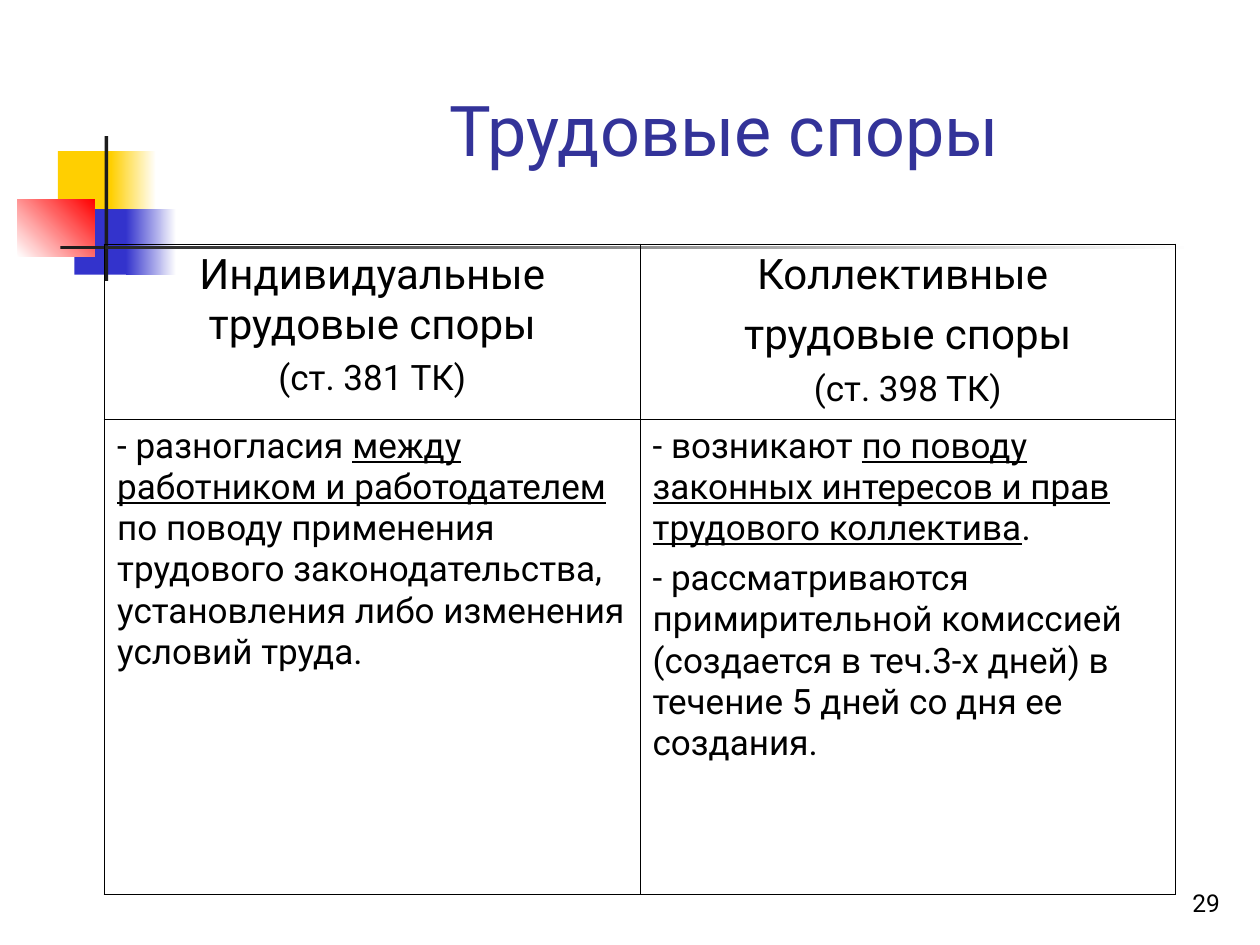
from pptx import Presentation
from pptx.dml.color import RGBColor
from pptx.enum.shapes import MSO_SHAPE
from pptx.enum.text import MSO_ANCHOR, MSO_AUTO_SIZE, PP_ALIGN
from pptx.oxml import parse_xml
from pptx.oxml.ns import nsdecls
from pptx.util import Pt

SCALE = 9144  # EMU per px, 100 px to the inch
FONT = "Roboto"
COLORS = {
    "yellow": "FFCF01", "blue": "3333CC", "red": "FF0000", "dark": "1C1C1C",
    "white": "FFFFFF", "black": "000000", "title": "333399",
}
THICK, THIN = 1.08, 0.45


def px(*nums):
    return [n * SCALE for n in nums]


def color(name):
    return RGBColor.from_string(COLORS[name])


class Deck:
    def __init__(self):
        self.prs = Presentation()
        self.prs.slide_width, self.prs.slide_height = px(1000, 750)
        self.slide = self.prs.slides.add_slide(self.prs.slide_layouts[5])
        self.shapes = self.slide.shapes

    def style(self, para, size, tint="black", align=PP_ALIGN.LEFT):
        para.alignment = align
        font = para.font
        font.name, font.size, font.bold = FONT, Pt(size), False
        font.color.rgb = color(tint)

    def rect(self, box, start, end=None, angle=0):
        shape = self.shapes.add_shape(MSO_SHAPE.RECTANGLE, *px(*box))
        shape.shadow.inherit = False
        shape.line.fill.background()
        if end is None:
            shape.fill.solid()
            shape.fill.fore_color.rgb = color(start)
            return
        shape.fill.gradient()
        shape.fill.gradient_angle = angle
        for stop, name in zip(shape.fill.gradient_stops, (start, end)):
            stop.color.rgb = color(name)

    def title(self, box, text):
        shape = self.shapes.title
        shape.left, shape.top, shape.width, shape.height = px(*box)
        frame = shape.text_frame
        frame.text = text
        frame.auto_size = MSO_AUTO_SIZE.NONE
        frame.vertical_anchor = MSO_ANCHOR.BOTTOM
        self.style(frame.paragraphs[0], 40, "title", PP_ALIGN.CENTER)

    def number(self, box, text):
        frame = self.shapes.add_textbox(*px(*box)).text_frame
        frame.word_wrap = True
        frame.vertical_anchor = MSO_ANCHOR.BOTTOM
        frame.text = text
        self.style(frame.paragraphs[0], 14, align=PP_ALIGN.RIGHT)

    def border(self, cell, sides):
        props = cell._tc.get_or_add_tcPr()
        for side, width in sides.items():
            props.append(parse_xml(
                f'<a:ln{side} {nsdecls("a")} w="{Pt(width)}"><a:solidFill>'
                f'<a:srgbClr val="{COLORS["black"]}"/></a:solidFill></a:ln{side}>'))

    def fill(self, cell, paras, align):
        frame = cell.text_frame
        for i, (size, gap, runs) in enumerate(paras):
            para = frame.add_paragraph() if i else frame.paragraphs[0]
            self.style(para, size, align=align)
            if i:
                para.space_before = Pt(gap)
            for j, text in enumerate(runs):
                run = para.add_run()
                run.text = text
                if j % 2:  # every second run is underlined
                    run.font.underline = True

    def table(self, box, heights, rows):
        count, width = len(rows), len(rows[0])
        table = self.shapes.add_table(count, width, *px(*box)).table
        table.first_row = table.horz_banding = False
        for r, (height, row) in enumerate(zip(heights, rows)):
            table.rows[r].height = height * SCALE
            align = PP_ALIGN.LEFT if r else PP_ALIGN.CENTER
            for c, paras in enumerate(row):
                cell = table.cell(r, c)
                edges = {"L": c == 0, "R": c == width - 1,
                         "T": r == 0, "B": r == count - 1}
                self.border(cell, {side: THICK if outer else THIN
                                   for side, outer in edges.items()})
                cell.fill.background()
                self.fill(cell, paras, align)


# Text of the table: (size, space before, runs)
HEADS = [
    [(24, 0, ["Индивидуальные трудовые споры"]),
     (20, 5, ["(ст. 381 ТК)"])],
    [(24, 0, ["Коллективные "]),
     (24, 6, ["трудовые споры"]),
     (20, 5, ["(ст. 398 ТК)"])],
]
BODY = [
    [(20, 0, ["- разногласия ",
              "между работником и работодателем ",
              "по поводу применения трудового законодательства, "
              "установления либо изменения условий труда."])],
    [(20, 0, ["- возникают ",
              "по поводу законных интересов и прав трудового коллектива",
              "."]),
     (20, 5, ["- рассматриваются примирительной комиссией (создается в "
              "теч.3-х дней) в течение 5 дней со дня ее создания."])],
]


def main():
    deck = Deck()
    # Corner ornament
    deck.rect((46, 120, 48, 52), "yellow")
    deck.rect((88, 120, 36, 52), "yellow", "white")
    deck.rect((59, 166, 46, 52), "blue")
    deck.rect((100, 166, 40, 52), "blue", "white")
    deck.rect((14, 158, 61, 46), "white", "red", 45)
    deck.rect((83, 108, 3, 115), "dark")
    deck.rect((48, 195, 900, 3), "dark", "white")
    # Title and slide number
    deck.number((770, 683, 208, 50), "29")
    deck.title((150, 60, 850, 80), "Трудовые споры")
    # Comparison
    deck.table((83, 194, 850, 516), (139, 377), [HEADS, BODY])
    deck.prs.save("out.pptx")


if __name__ == "__main__":
    main()
